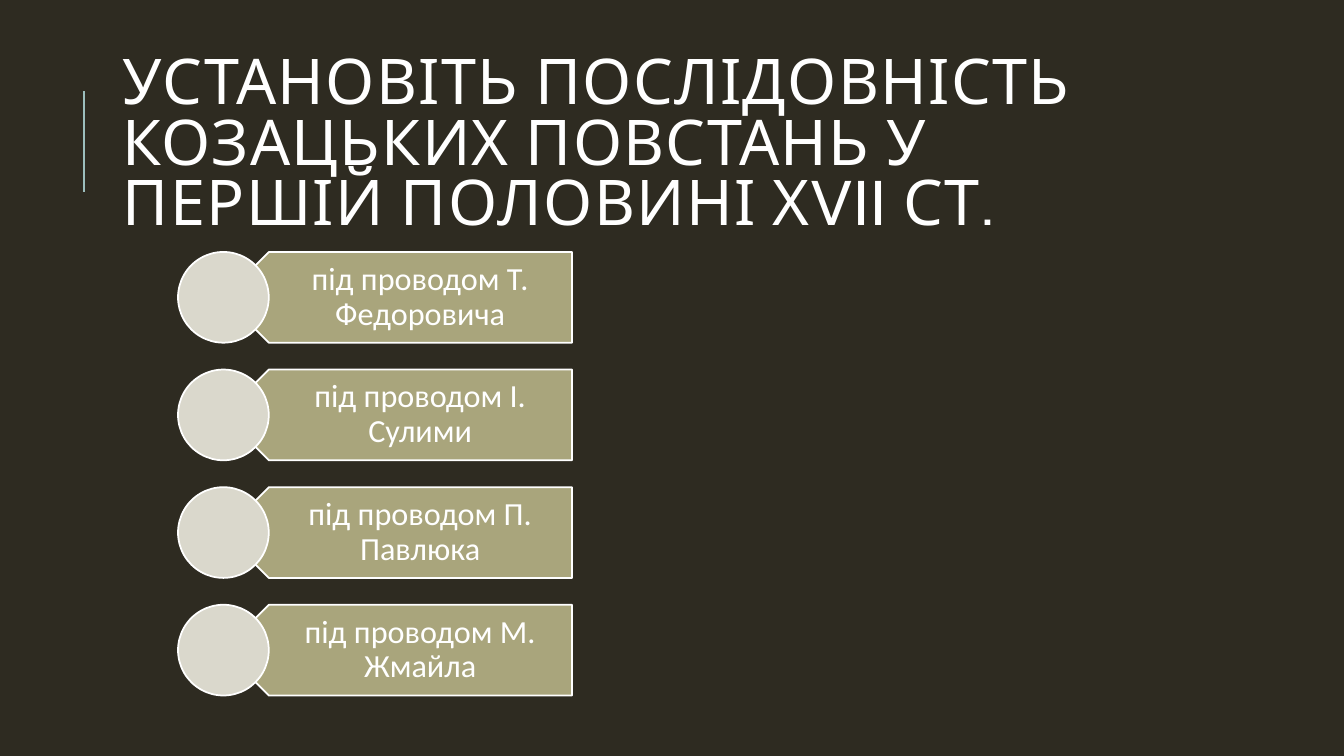
from dataclasses import dataclass

from lxml.etree import SubElement
from pptx import Presentation
from pptx.dml.color import RGBColor
from pptx.enum.shapes import MSO_CONNECTOR, MSO_SHAPE
from pptx.enum.text import MSO_ANCHOR, MSO_AUTO_SIZE, PP_ALIGN
from pptx.oxml.ns import qn
from pptx.slide import Slide
from pptx.util import Pt

DARK = RGBColor(0x2E, 0x2B, 0x21)
TEAL = RGBColor(0x9C, 0xBE, 0xBD)
OLIVE = RGBColor(0xA9, 0xA5, 0x7C)
STONE = RGBColor(0xDA, 0xD8, 0xCC)
WHITE = RGBColor(0xFF, 0xFF, 0xFF)

ROW_TOP = 180
ROW_PITCH = 84
ROW_HEIGHT = 64.8


@dataclass
class Uprising:
    label: str
    top: float


LABELS = (
    "під проводом Т. Федоровича",
    "під проводом І. Сулими",
    "під проводом П. Павлюка",
    "під проводом М. Жмайла",
)
UPRISINGS = [Uprising(label, ROW_TOP + i * ROW_PITCH) for i, label in enumerate(LABELS)]


def add_title(s: Slide, text: str) -> None:
    sp = s.shapes.title
    sp.left, sp.top, sp.width, sp.height = Pt(80.6), Pt(46), Pt(765.4), Pt(118)
    tf = sp.text_frame
    tf.text = text
    tf.word_wrap = True
    tf.auto_size = MSO_AUTO_SIZE.NONE
    tf.vertical_anchor = MSO_ANCHOR.MIDDLE
    p = tf.paragraphs[0]
    p.alignment = PP_ALIGN.LEFT
    p.line_spacing = 0.8
    p.space_before = Pt(0)
    p.font.name = "Cabin"
    p.font.size = Pt(45)
    p.font.color.rgb = WHITE
    # Letter spacing of one point
    p.runs[0].font._element.set("spc", "100")


def add_accent_line(s: Slide) -> None:
    line = s.shapes.add_connector(MSO_CONNECTOR.STRAIGHT, Pt(60), Pt(136.8), Pt(60), Pt(64.8))
    line.line.color.rgb = TEAL
    line.line.width = Pt(1.5)
    SubElement(line._element.spPr, qn("a:effectLst"))


def add_outlined(s: Slide, kind: MSO_SHAPE, left: float, top: float,
                 width: float, fill: RGBColor, rotation: float = 0) -> None:
    sp = s.shapes.add_shape(kind, Pt(left), Pt(top), Pt(width), Pt(ROW_HEIGHT))
    sp.rotation = rotation
    sp.shadow.inherit = False
    sp.fill.solid()
    sp.fill.fore_color.rgb = fill
    sp.line.color.rgb = WHITE
    sp.line.width = Pt(1.25)


def add_label(s: Slide, text: str, top: float) -> None:
    sp = s.shapes.add_textbox(Pt(176), Pt(top), Pt(232.6), Pt(ROW_HEIGHT))
    tf = sp.text_frame
    tf.word_wrap = True
    tf.vertical_anchor = MSO_ANCHOR.MIDDLE
    tf.margin_left, tf.margin_right = Pt(28.8), Pt(13)
    tf.margin_top = tf.margin_bottom = Pt(7.2)
    tf.text = text
    p = tf.paragraphs[0]
    p.alignment = PP_ALIGN.CENTER
    p.line_spacing = 0.9
    p.font.name = "Calibri"
    p.font.size = Pt(23)
    p.font.color.rgb = WHITE


def add_uprising(s: Slide, uprising: Uprising) -> None:
    add_outlined(s, MSO_SHAPE.PENTAGON, 159.6, uprising.top, 249, OLIVE, 180)
    add_label(s, uprising.label, uprising.top)
    add_outlined(s, MSO_SHAPE.OVAL, 127.2, uprising.top, ROW_HEIGHT, STONE)


def main() -> None:
    prs = Presentation()
    prs.slide_width, prs.slide_height = Pt(960), Pt(540)
    s = prs.slides.add_slide(prs.slide_layouts.get_by_name("Title Only"))
    s.background.fill.solid()
    s.background.fill.fore_color.rgb = DARK

    # Heading
    add_accent_line(s)
    add_title(s, "УСТАНОВІТЬ ПОСЛІДОВНІСТЬ КОЗАЦЬКИХ ПОВСТАНЬ У ПЕРШІЙ ПОЛОВИНІ ХVII СТ.")

    # List of uprisings
    for uprising in UPRISINGS:
        add_uprising(s, uprising)

    prs.save("out.pptx")


if __name__ == "__main__":
    main()
